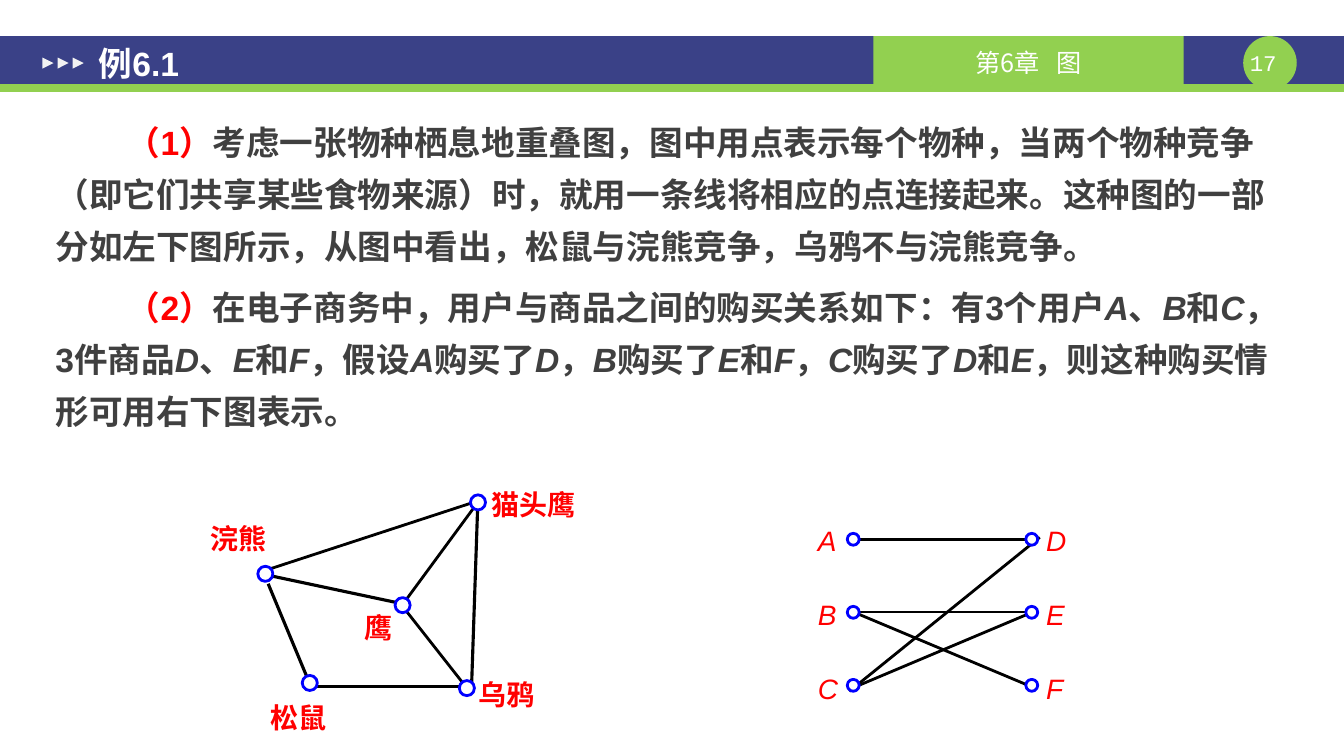
from itertools import groupby

from lxml import etree
from pptx import Presentation
from pptx.dml.color import RGBColor
from pptx.enum.shapes import MSO_CONNECTOR, MSO_SHAPE
from pptx.enum.text import MSO_ANCHOR, PP_ALIGN
from pptx.oxml.ns import qn
from pptx.util import Cm, Pt

RECT = MSO_SHAPE.RECTANGLE
OVAL = MSO_SHAPE.OVAL
ARROW = MSO_SHAPE.ISOSCELES_TRIANGLE
LINE = MSO_CONNECTOR.STRAIGHT
TOP = MSO_ANCHOR.TOP
MIDDLE = MSO_ANCHOR.MIDDLE
LEFT = PP_ALIGN.LEFT
CENTER = PP_ALIGN.CENTER

NAVY = RGBColor(0x3A, 0x41, 0x87)
GREEN = RGBColor(0x92, 0xD0, 0x50)
WHITE = RGBColor(0xFF, 0xFF, 0xFF)
PALE = RGBColor(0xF2, 0xF2, 0xF2)
RED = RGBColor(0xFF, 0x00, 0x00)
GRAY = RGBColor(0x40, 0x40, 0x40)
BLUE = RGBColor(0x00, 0x00, 0xFF)
BLACK = RGBColor(0x00, 0x00, 0x00)

LATIN = "Arial"
HAN = "Noto Sans CJK SC"
MONO = "Courier New"

STORY = [
    ("（1）", "考虑一张物种栖息地重叠图，图中用点表示每个物种，当两个物种竞争"
     "（即它们共享某些食物来源）时，就用一条线将相应的点连接起来。这种图的一部"
     "分如左下图所示，从图中看出，松鼠与浣熊竞争，乌鸦不与浣熊竞争。"),
    ("（2）", "在电子商务中，用户与商品之间的购买关系如下：有3个用户A、B和"
     "C，3件商品D、E和F，假设A购买了D，B购买了E和F，C购买了D和"
     "E，则这种购买情形可用右下图表示。"),
]

HABITAT_EDGES = [
    (6.78, 14.5, 10.03, 15.19, 2.25),
    (10.24, 15.11, 11.94, 12.8, 2),
    (11.96, 12.65, 6.76, 14.35, 2),
    (11.58, 17.3, 7.98, 17.3, 2),
    (10.26, 15.42, 11.66, 17.2, 2),
    (6.76, 14.71, 7.75, 17.09, 2.25),
    (12.04, 12.8, 11.89, 17.22, 2.25),
]
SPECIES = [
    ("浣熊", 6.5, 14.27, 5.31, 13.13, 2.01),
    ("鹰", 9.96, 15.06, 9.19, 15.37, 0.89),
    ("猫头鹰", 11.86, 12.47, 12.4, 12.27, 2.67),
    ("乌鸦", 11.58, 17.15, 12.07, 17.07, 2.01),
    ("松鼠", 7.62, 17.02, 6.81, 17.65, 2.01),
]
ORDER_EDGES = [
    (21.46, 13.59, 25.96, 13.59, 2),
    (21.46, 15.42, 25.96, 15.42, 2),
    (26.21, 13.54, 21.41, 17.42, 2),
    (21.46, 17.35, 26.11, 15.39, 2),
    (21.44, 15.39, 26.11, 17.35, 2),
]
SIDES = [("ABC", 21.36, 20.62, 0.76), ("DEF", 25.86, 26.37, 0.97)]


def add_run(para, text, size, color, face=LATIN, bold=False, italic=False):
    run = para.add_run()
    run.text = text
    font = run.font
    font.size = Pt(size)
    font.bold = bold
    font.italic = italic
    font.color.rgb = color
    font.name = face
    props = run._r.get_or_add_rPr()
    etree.SubElement(props, qn("a:ea")).set("typeface", HAN)
    return props


def set_frame(frame, anchor, across=0, above=0, below=0):
    frame.word_wrap = True
    frame.vertical_anchor = anchor
    frame.margin_left = frame.margin_right = Cm(across)
    frame.margin_top = Cm(above)
    frame.margin_bottom = Cm(below)


def add_box(shapes, x, y, width, height, anchor=MIDDLE, inset=(0, 0, 0)):
    box = shapes.add_textbox(Cm(x), Cm(y), Cm(width), Cm(height))
    set_frame(box.text_frame, anchor, *inset)
    return box.text_frame


def add_form(shapes, kind, x, y, width, height, fill, edge=None):
    form = shapes.add_shape(kind, Cm(x), Cm(y), Cm(width), Cm(height))
    form.shadow.inherit = False
    form.fill.solid()
    form.fill.fore_color.rgb = fill
    if edge is None:
        form.line.fill.background()
    else:
        form.line.color.rgb = edge
        form.line.width = Pt(2)
    return form


def add_edge(shapes, x1, y1, x2, y2, width):
    edge = shapes.add_connector(LINE, Cm(x1), Cm(y1), Cm(x2), Cm(y2))
    edge.line.color.rgb = BLACK
    edge.line.width = Pt(width)
    etree.SubElement(edge._element.spPr, qn("a:effectLst"))


def add_node(shapes, x, y, size):
    add_form(shapes, OVAL, x, y, size, size, WHITE, BLUE)


def add_label(shapes, text, x, y, width, **style):
    para = add_box(shapes, x, y, width, 0.86).paragraphs[0]
    add_run(para, text, 20, RED, **style)


def add_header(shapes):
    add_form(shapes, RECT, 0, 0.91, 33.88, 1.21, NAVY)
    add_form(shapes, RECT, 0, 2.12, 33.88, 0.2, GREEN)
    add_form(shapes, OVAL, 31.34, 0.91, 1.35, 1.35, GREEN)
    page = add_box(shapes, 31.17, 1.22, 1.35, 0.69).paragraphs[0]
    page.alignment = CENTER
    add_run(page, "17", 16, WHITE, MONO)
    tab = add_form(shapes, RECT, 22.02, 0.91, 7.82, 1.21, GREEN)
    set_frame(tab.text_frame, MIDDLE, 0.25, 0.1)
    para = tab.text_frame.paragraphs[0]
    para.alignment = CENTER
    add_run(para, "第6章", 18, WHITE, HAN)
    add_run(para, " ", 18, WHITE, HAN).set("spc", "800")
    add_run(para, "图", 18, WHITE, HAN)
    for i in range(3):
        mark = add_form(shapes, ARROW, 1.07 + 0.38 * i, 1.45, 0.28, 0.28, PALE)
        mark.rotation = 90


def add_title(title):
    title.left, title.top = Cm(2.16), Cm(1.02)
    title.width, title.height = Cm(18.29), Cm(1.12)
    set_frame(title.text_frame, MIDDLE, 0.33, 0.18, 0.18)
    para = title.text_frame.paragraphs[0]
    para.alignment = LEFT
    add_run(para, "例6.1", 24, WHITE, bold=True)
    title.element.getparent().append(title.element)


def add_story(shapes):
    frame = add_box(shapes, 1.07, 2.6, 31.75, 8.8, TOP, (0.33, 0.18, 0.18))
    for i, (mark, text) in enumerate(STORY):
        para = frame.add_paragraph() if i else frame.paragraphs[0]
        para.line_spacing = Pt(37.2)
        para.space_before = Pt(6 if i else 0)
        para._p.get_or_add_pPr().set("indent", str(Cm(1.8)))
        add_run(para, mark, 24, RED, bold=True)
        for slant, part in groupby(text, lambda sign: "A" <= sign <= "F"):
            add_run(para, "".join(part), 24, GRAY, bold=True, italic=slant)


def add_habitat(shapes):
    for edge in HABITAT_EDGES:
        add_edge(shapes, *edge)
    for name, x, y, *place in SPECIES:
        add_node(shapes, x, y, 0.38)
        add_label(shapes, name, *place, bold=True)


def add_orders(shapes):
    for edge in ORDER_EDGES:
        add_edge(shapes, *edge)
    for names, x, left, width in SIDES:
        for row, name in enumerate(names):
            add_node(shapes, x, 13.44 + 1.84 * row, 0.3)
            add_label(shapes, name, left, 13.18 + 1.87 * row, width, italic=True)


def main():
    deck = Presentation()
    deck.slide_width, deck.slide_height = Cm(33.88), Cm(19.05)
    slide = deck.slides.add_slide(deck.slide_layouts[5])
    shapes = slide.shapes
    add_header(shapes)
    add_title(shapes.title)
    add_story(shapes)
    add_habitat(shapes.add_group_shape().shapes)
    add_orders(shapes.add_group_shape().shapes)
    deck.save("out.pptx")


if __name__ == "__main__":
    main()
